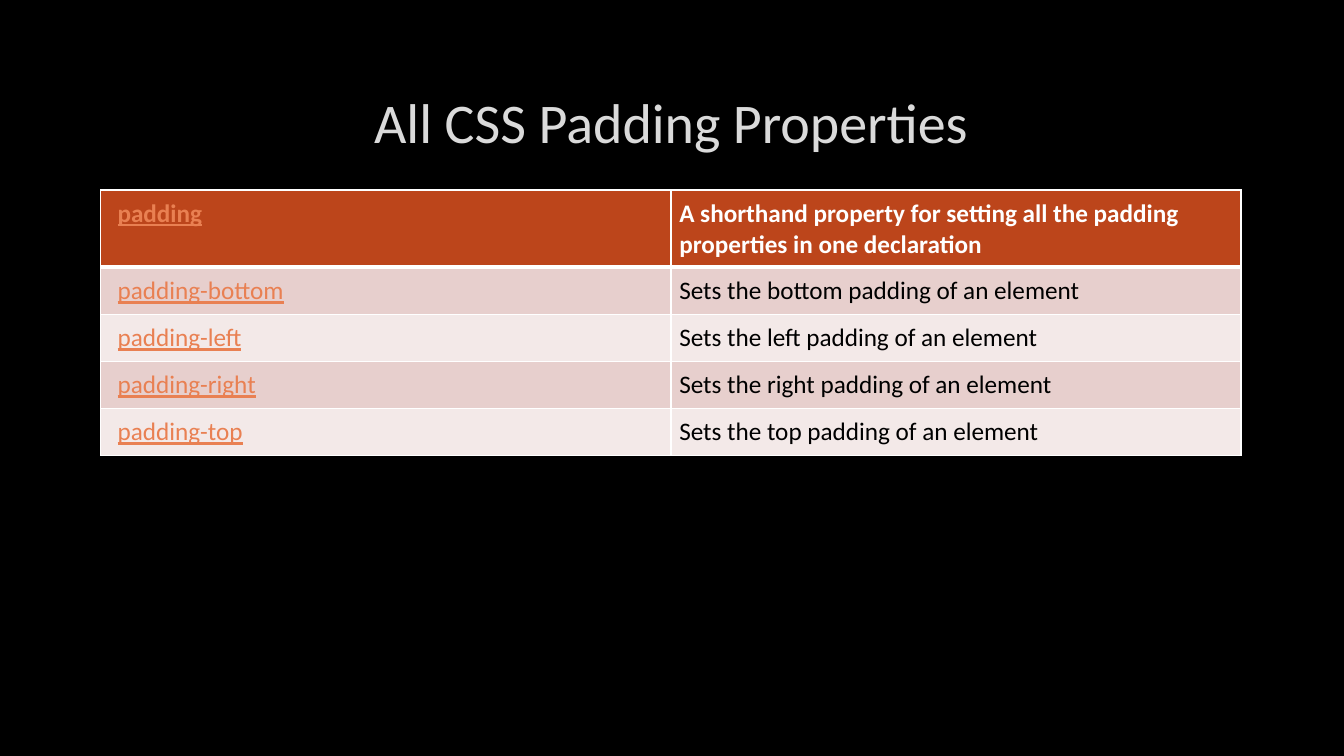
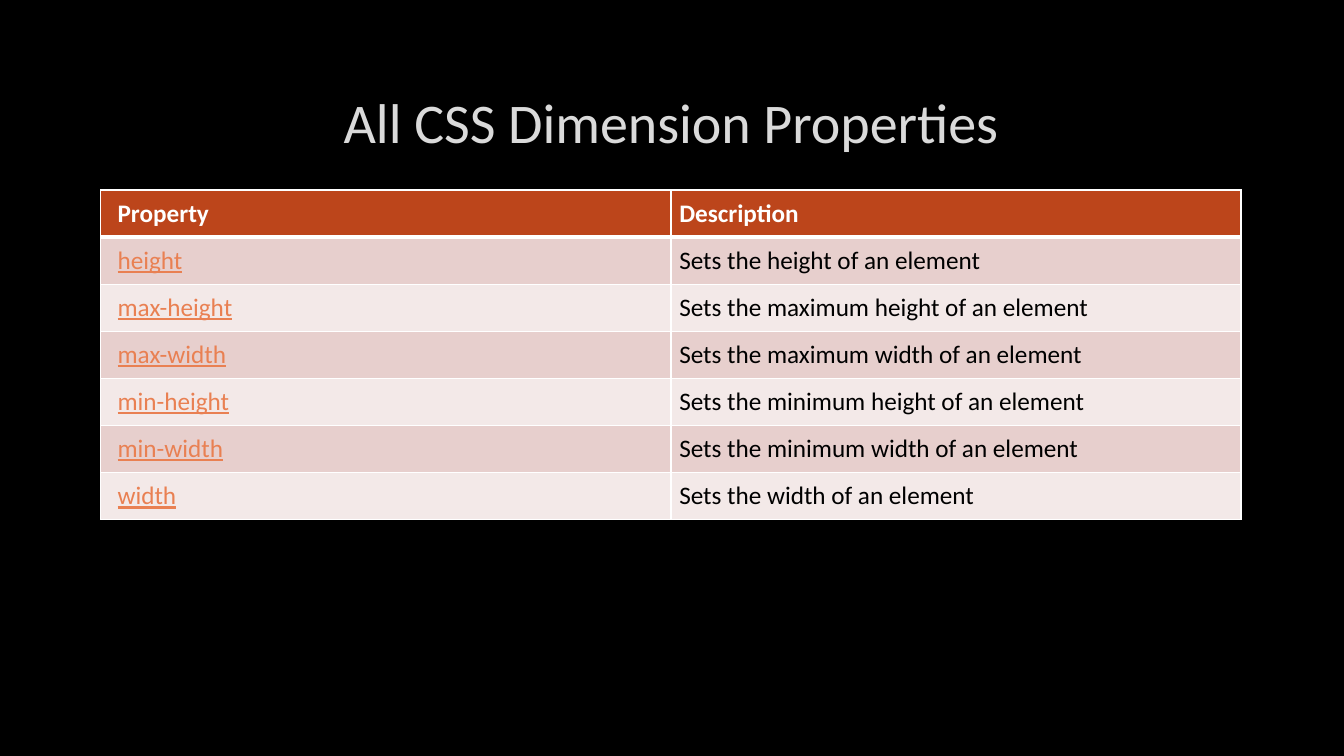
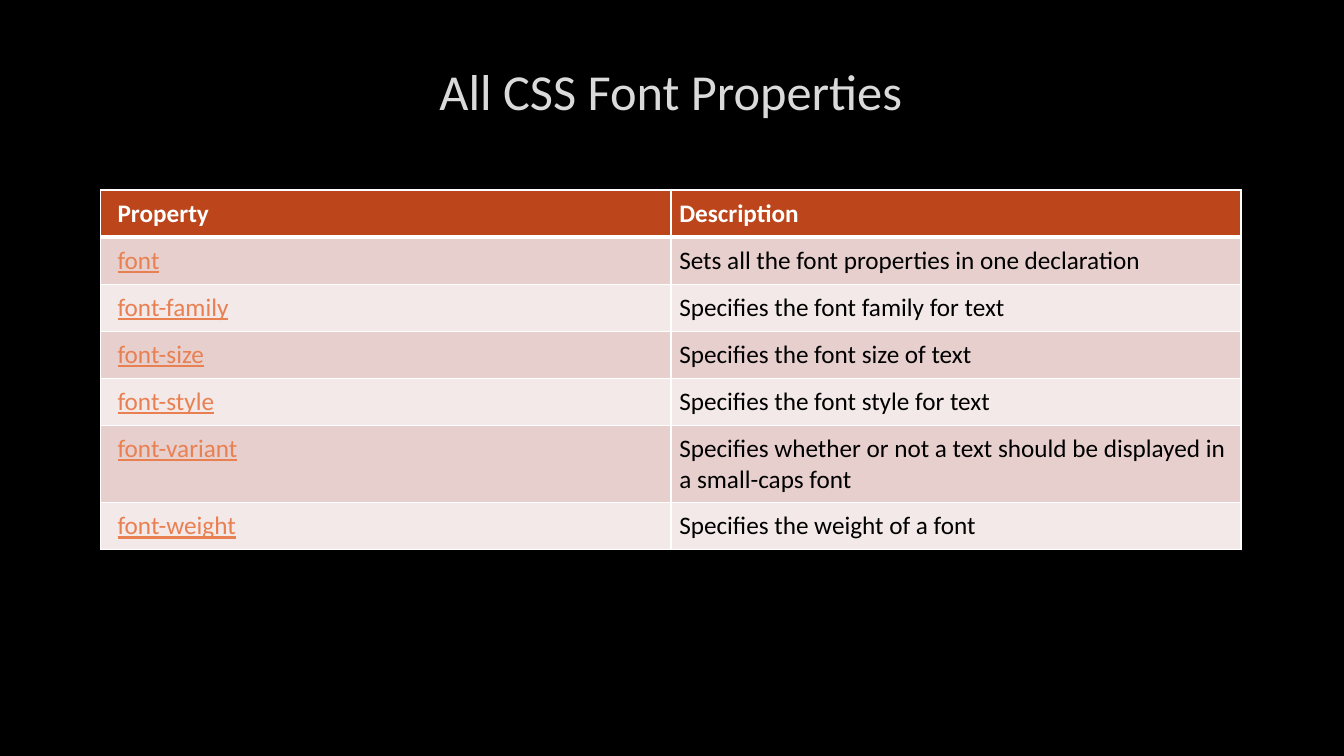
from dataclasses import dataclass

from lxml.etree import SubElement
from pptx import Presentation
from pptx.dml.color import RGBColor
from pptx.enum.text import MSO_ANCHOR, PP_ALIGN
from pptx.oxml.ns import qn
from pptx.util import Emu, Pt


@dataclass(frozen=True)
class Theme:
    """Colours, font and type sizes shared by all slides."""

    font: str = "Calibri"
    back: str = "000000"
    title: str = "DADADA"
    header: str = "BC451B"
    header_text: str = "FFFFFF"
    bands: tuple = ("E7CFCD", "F3E9E8")
    body_text: str = "000000"
    link: str = "E98052"
    border: str = "FFFFFF"
    title_size: int = 40
    small_title_size: int = 36
    table_size: int = 18
    thin: int = 1
    thick: int = 3


THEME = Theme()
PX = 9525
SLIDE_W, SLIDE_H = 1280, 720
TITLE_BOX = (96, 64, 1086, 102)
RAISED_TITLE_BOX = (96, 35, 1086, 102)
TABLE_BOX = (96, 181, 1086)
ROW_H = 39
CELL_PAD, FIRST_PAD = 8, 16

HEADER = ("Property", "Description")
PADDING_ROWS = [
    ("padding", "A shorthand property for setting all the padding properties in one declaration"),
    ("padding-bottom", "Sets the bottom padding of an element"),
    ("padding-left", "Sets the left padding of an element"),
    ("padding-right", "Sets the right padding of an element"),
    ("padding-top", "Sets the top padding of an element"),
]
DIMENSION_ROWS = [
    HEADER,
    ("height", "Sets the height of an element"),
    ("max-height", "Sets the maximum height of an element"),
    ("max-width", "Sets the maximum width of an element"),
    ("min-height", "Sets the minimum height of an element"),
    ("min-width", "Sets the minimum width of an element"),
    ("width", "Sets the width of an element"),
]
FONT_ROWS = [
    HEADER,
    ("font", "Sets all the font properties in one declaration"),
    ("font-family", "Specifies the font family for text"),
    ("font-size", "Specifies the font size of text"),
    ("font-style", "Specifies the font style for text"),
    ("font-variant", "Specifies whether or not a text should be displayed in a small-caps font"),
    ("font-weight", "Specifies the weight of a font"),
]


def px(n):
    """Turn pixels into EMU."""
    return Emu(n * PX)


def rgb(color):
    """Turn a hex string into a colour."""
    return RGBColor.from_string(color)


def add_run(p, text, size, color, bold=False, underline=False):
    """Add one formatted run to a paragraph."""
    r = p.add_run()
    r.text = text
    f = r.font
    f.name, f.size, f.bold, f.underline = THEME.font, Pt(size), bold, underline
    f.color.rgb = rgb(color)


def add_title(s, box, text, size):
    """Place a centred title in its box."""
    tf = s.shapes.add_textbox(*map(px, box)).text_frame
    tf.word_wrap = True
    tf.vertical_anchor = MSO_ANCHOR.MIDDLE
    p = tf.paragraphs[0]
    p.alignment = PP_ALIGN.CENTER
    add_run(p, text, size, THEME.title)


def set_borders(cell, top, bottom):
    """Draw the four borders of a cell, widths in points."""
    tc_pr = cell._tc.get_or_add_tcPr()
    widths = {"L": THEME.thin, "R": THEME.thin, "T": top, "B": bottom}
    for side, width in widths.items():
        ln = SubElement(tc_pr, qn(f"a:ln{side}"), w=str(Pt(width)))
        fill = SubElement(ln, qn("a:solidFill"))
        SubElement(fill, qn("a:srgbClr"), val=THEME.border)


def fill_cell(cell, text, row, is_first, is_link):
    """Style one table cell and write its text."""
    is_header = row == 0
    cell.margin_left = px(FIRST_PAD if is_first else CELL_PAD)
    cell.margin_right = cell.margin_top = cell.margin_bottom = px(CELL_PAD)
    set_borders(cell,
                THEME.thick if row == 1 else THEME.thin,
                THEME.thick if is_header else THEME.thin)
    cell.fill.solid()
    cell.fill.fore_color.rgb = rgb(THEME.header if is_header else THEME.bands[(row - 1) % 2])
    plain = THEME.header_text if is_header else THEME.body_text
    add_run(cell.text_frame.paragraphs[0], text, THEME.table_size,
            THEME.link if is_link else plain, bold=is_header, underline=is_link)


def add_property_table(s, box, rows):
    """Place a banded table of properties and descriptions."""
    x, y, w = box
    frame = s.shapes.add_table(len(rows), len(HEADER), px(x), px(y), px(w), px(ROW_H * len(rows)))
    table = frame.table
    table.horz_banding = False
    for i, row in enumerate(rows):
        for j, text in enumerate(row):
            fill_cell(table.cell(i, j), text, i, j == 0, j == 0 and row != HEADER)


def add_property_slide(prs, title, rows, title_box=TITLE_BOX, title_size=THEME.title_size):
    """Add a slide with a title above a property table."""
    s = prs.slides.add_slide(prs.slide_layouts[6])
    s.background.fill.solid()
    s.background.fill.fore_color.rgb = rgb(THEME.back)
    add_title(s, title_box, title, title_size)
    add_property_table(s, TABLE_BOX, rows)


def main():
    """Build and save the presentation."""
    prs = Presentation()
    prs.slide_width, prs.slide_height = px(SLIDE_W), px(SLIDE_H)
    add_property_slide(prs, "All CSS Padding Properties", PADDING_ROWS)
    add_property_slide(prs, "All CSS Dimension Properties", DIMENSION_ROWS)
    add_property_slide(prs, "All CSS Font Properties", FONT_ROWS,
                       RAISED_TITLE_BOX, THEME.small_title_size)
    prs.save("out.pptx")


if __name__ == "__main__":
    main()
